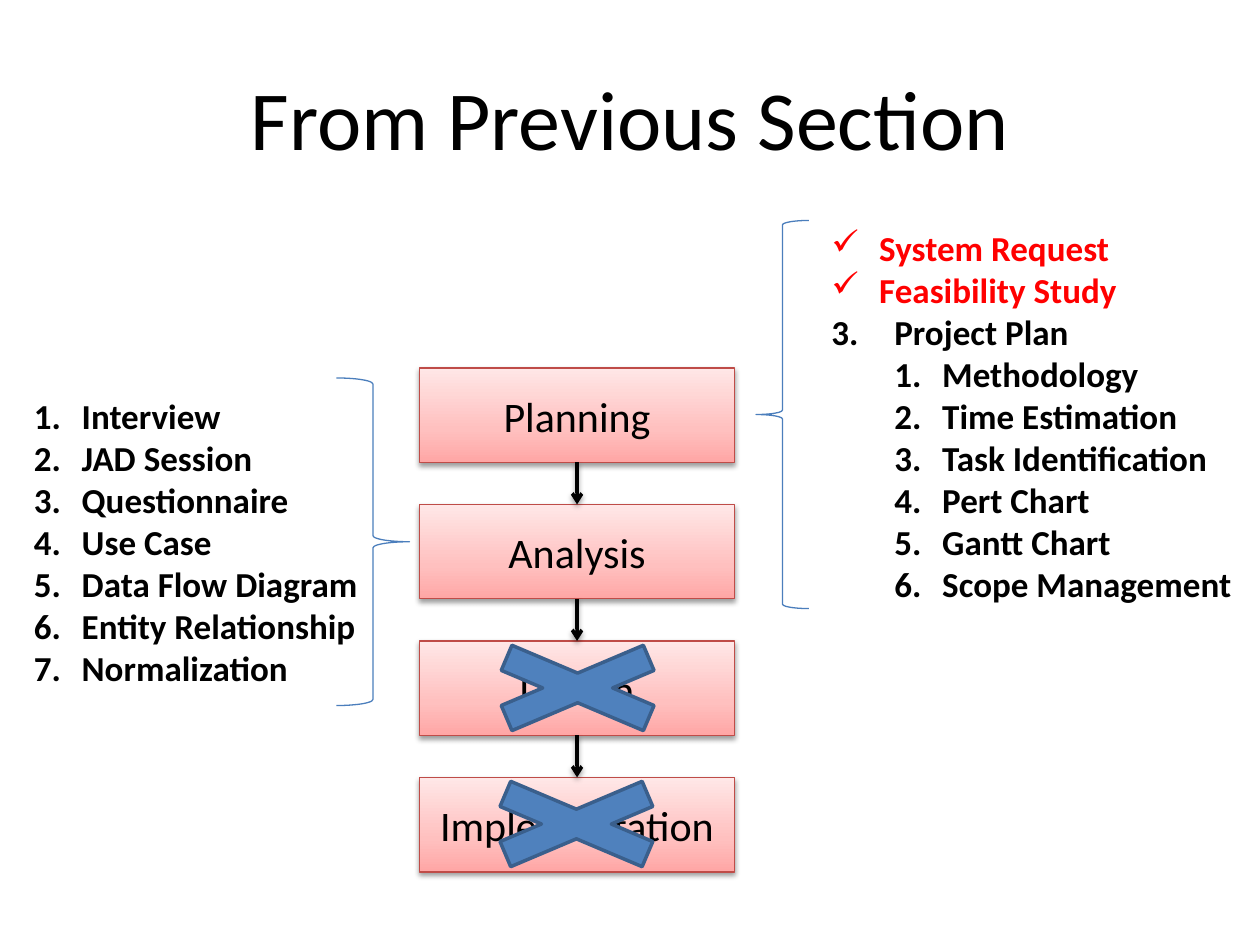
from itertools import pairwise

from lxml.etree import SubElement
from pptx import Presentation
from pptx.dml.color import RGBColor
from pptx.enum.shapes import MSO_CONNECTOR as Connector, MSO_SHAPE as Shape
from pptx.enum.text import MSO_ANCHOR as Anchor, MSO_AUTO_SIZE as AutoSize, PP_ALIGN as Align
from pptx.oxml.ns import qn
from pptx.util import Inches, Pt

BLACK = RGBColor(0x00, 0x00, 0x00)
RED = RGBColor(0xFF, 0x00, 0x00)
BOX_LINE = RGBColor(0xBF, 0x4C, 0x48)
BRACE_LINE = RGBColor(0x4B, 0x7E, 0xBC)
CROSS_FILL = RGBColor(0x4F, 0x81, 0xBD)
CROSS_LINE = RGBColor(0x3A, 0x5F, 0x8C)
BOX_STOPS = [
    (0, RGBColor(0xFF, 0xA6, 0xA5)),
    (35, RGBColor(0xFF, 0xC0, 0xBF)),
    (100, RGBColor(0xFF, 0xE7, 0xE7)),
]

BOX_LEFT, BOX_TOP, BOX_WIDTH, BOX_HEIGHT = 3.33, 2.92, 2.5, 0.75
BOX_STEP = 3.25 / 3
PHASES = ["Planning", "Analysis", "Design", "Implementation"]

# Each list item: text, colour, left margin, hanging indent, level, bullet tag, bullet attributes
NUMBER = {"type": "arabicPeriod"}
PLANNING_ITEMS = [
    *[(text, RED, 0.38, 0.38, 0, "a:buChar", {"char": "✓"})
      for text in ("System Request", "Feasibility Study")],
    ("Project Plan", BLACK, 0.5, 0.5, 0, "a:buAutoNum", {**NUMBER, "startAt": "3"}),
    *[(text, BLACK, 0.88, 0.38, 1, "a:buAutoNum", NUMBER)
      for text in ("Methodology", "Time Estimation", "Task Identification",
                   "Pert Chart", "Gantt Chart", "Scope Management")],
]
ANALYSIS_ITEMS = [
    (text, BLACK, 0.38, 0.38, 0, "a:buAutoNum", NUMBER)
    for text in ("Interview", "JAD Session", "Questionnaire", "Use Case",
                 "Data Flow Diagram", "Entity Relationship", "Normalization")
]


def add_element(parent, tag, **attributes):
    return SubElement(parent, qn(tag), {key: str(value) for key, value in attributes.items()})


class SlideBuilder:
    def __init__(self, slide, font="Calibri"):
        self.shapes = slide.shapes
        self.font = font

    def style_text(self, para, size, color=BLACK, bold=False):
        for span in para.runs:
            span.font.name = self.font
            span.font.size = Pt(size)
            span.font.bold = bold
            span.font.color.rgb = color

    def centre_text(self, shape, text, size):
        frame = shape.text_frame
        frame.text = text
        frame.word_wrap = True
        frame.vertical_anchor = Anchor.MIDDLE
        frame.paragraphs[0].alignment = Align.CENTER
        self.style_text(frame.paragraphs[0], size)

    def soft_shadow(self, effects):
        """Add a small shadow straight below the shape."""
        shadow = add_element(effects, "a:outerShdw", blurRad=Pt(3.1), dist=Pt(1.6),
                             dir=90 * 60000, rotWithShape=0)
        color = add_element(shadow, "a:srgbClr", val=BLACK)
        add_element(color, "a:alpha", val=38000)

    def title(self, text, left, top, width, height):
        box = self.shapes.add_textbox(*map(Inches, (left, top, width, height)))
        self.centre_text(box, text, 48)

    def outline(self, kind, bounds, line, weight, fill=None):
        """Add a preset shape, unfilled unless a fill is given."""
        shape = self.shapes.add_shape(kind, *map(Inches, bounds))
        shape.shadow.inherit = False
        if fill is None:
            shape.fill.background()
        else:
            shape.fill.solid()
            shape.fill.fore_color.rgb = fill
        shape.line.color.rgb = line
        shape.line.width = Pt(weight)
        return shape

    def phase(self, text, top):
        bounds = (BOX_LEFT, top, BOX_WIDTH, BOX_HEIGHT)
        box = self.outline(Shape.RECTANGLE, bounds, BOX_LINE, 0.75)
        box.fill.gradient()
        box.fill.gradient_angle = 90
        properties = box.element.spPr
        stops = properties.find(qn("a:gradFill")).find(qn("a:gsLst"))
        stops.clear()
        for position, color in BOX_STOPS:
            stop = add_element(stops, "a:gs", pos=position * 1000)
            add_element(stop, "a:srgbClr", val=color)
        self.soft_shadow(properties.find(qn("a:effectLst")))
        self.centre_text(box, text, 24)
        return box

    def arrow(self, upper, lower):
        line = self.shapes.add_connector(Connector.STRAIGHT, 0, 0, 0, 0)
        line.begin_connect(upper, 2)
        line.end_connect(lower, 0)
        line.line.color.rgb = BLACK
        line.line.width = Pt(2)
        properties = line.element.spPr
        add_element(properties.find(qn("a:ln")), "a:tailEnd", type="arrow")
        self.soft_shadow(add_element(properties, "a:effectLst"))

    def bullet_list(self, items, left, top, width, height):
        box = self.shapes.add_textbox(*map(Inches, (left, top, width, height)))
        frame = box.text_frame
        frame.word_wrap = False
        frame.auto_size = AutoSize.SHAPE_TO_FIT_TEXT
        frame.text = "\n".join(item[0] for item in items)
        for para, item in zip(frame.paragraphs, items):
            _, color, margin, hanging, level, tag, attributes = item
            para.level = level
            properties = para._p.get_or_add_pPr()
            properties.set("marL", str(Inches(margin)))
            properties.set("indent", str(-Inches(hanging)))
            add_element(properties, tag, **attributes)
            self.style_text(para, 20, color, bold=True)


def main():
    deck = Presentation()
    deck.slide_width, deck.slide_height = Inches(10), Inches(7.5)
    page = SlideBuilder(deck.slides.add_slide(deck.slide_layouts[6]))

    page.title("From Previous Section", 0.5, 0.3, 9, 1.25)
    boxes = [page.phase(text, BOX_TOP + row * BOX_STEP) for row, text in enumerate(PHASES)]
    for upper, lower in pairwise(boxes):
        page.arrow(upper, lower)

    page.bullet_list(PLANNING_ITEMS, 6.5, 1.75, 3.4, 3.13)
    page.bullet_list(ANALYSIS_ITEMS, 0.17, 3.08, 2.78, 2.46)
    page.outline(Shape.RIGHT_BRACE, (2.67, 3, 0.58, 2.6), BRACE_LINE, 0.75)
    page.outline(Shape.LEFT_BRACE, (6, 1.75, 0.42, 3.08), BRACE_LINE, 0.75)
    for left, top in ((3.5, 5), (3.49, 6.08)):
        page.outline(Shape.MATH_MULTIPLY, (left, top, 2.17, 0.92), CROSS_LINE, 2, CROSS_FILL)

    deck.save("out.pptx")


if __name__ == "__main__":
    main()
